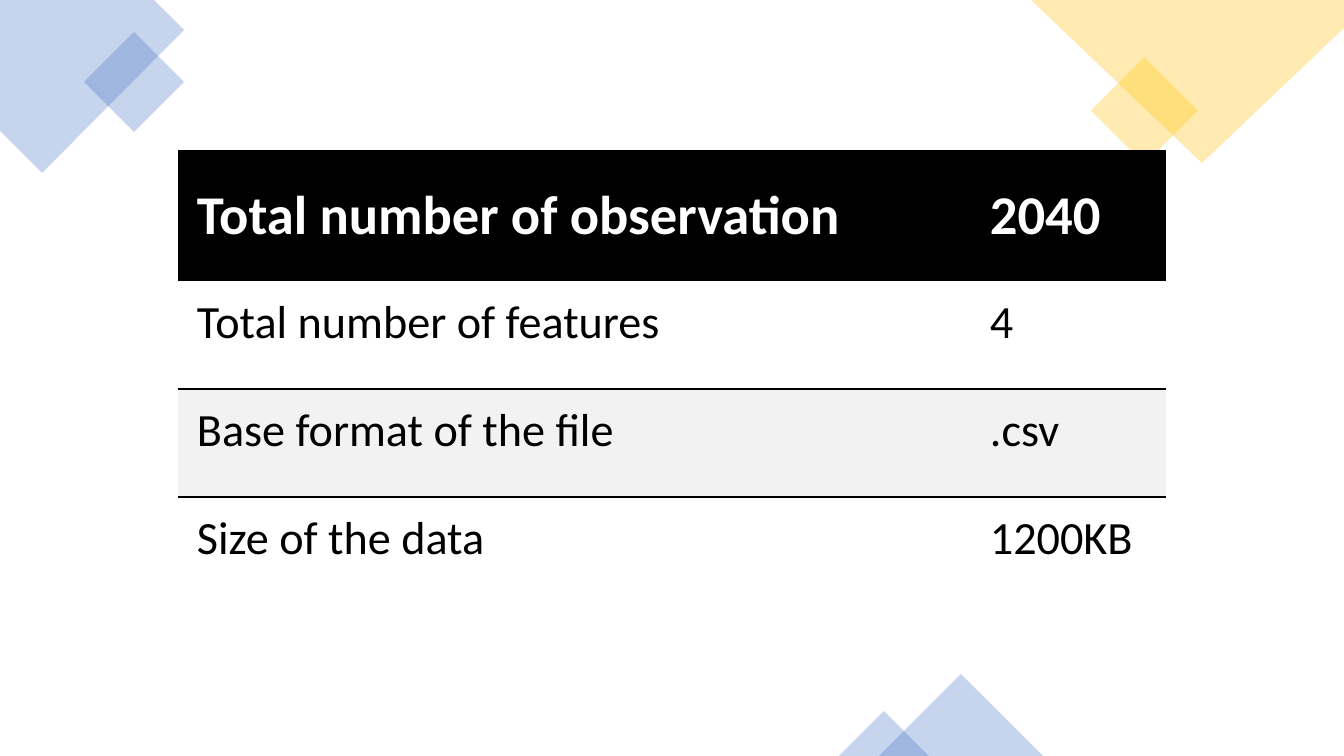
from lxml import etree
from pptx import Presentation
from pptx.dml.color import RGBColor
from pptx.enum.shapes import MSO_SHAPE
from pptx.enum.text import MSO_ANCHOR
from pptx.oxml import parse_xml
from pptx.oxml.ns import nsdecls, qn
from pptx.util import Emu, Pt

DIAMOND, TRIANGLE = MSO_SHAPE.DIAMOND, MSO_SHAPE.ISOSCELES_TRIANGLE
MIDDLE, TOP = MSO_ANCHOR.MIDDLE, MSO_ANCHOR.TOP
SCALE = 914400 / 100.8
BLUE, YELLOW, BLACK, WHITE, GREY = "4472C4", "FFC000", "000000", "FFFFFF", "F2F2F2"
PLAIN_TABLE = "{2D5ABB26-0587-4C30-8999-92F81FD0307C}"
FACTS = [
    ("Total number of observation", "2040"),
    ("Total number of features", "4"),
    ("Base format of the file", ".csv"),
    ("Size of the data", "1200KB"),
]


def px(length):
    return Emu(round(length * SCALE))


def color(value):
    return RGBColor.from_string(value)


def tint(shape, fill):
    shape.shadow.inherit = False
    shape.line.fill.background()
    shape.fill.solid()
    shape.fill.fore_color.rgb = color(fill)
    shade = shape.fill._xPr.find(qn("a:solidFill"))[0]
    etree.SubElement(shade, qn("a:alpha"), val="30000")


def add_tinted(page, kind, box, fill):
    tint(page.shapes.add_shape(kind, *map(px, box)), fill)


def add_outline(page, left, top, points, fill):
    placed = [(left + x, top + y) for x, y in points]
    builder = page.shapes.build_freeform(*placed[0], scale=SCALE)
    builder.add_line_segments(placed[1:], close=True)
    tint(builder.convert_to_shape(), fill)


def add_left_corner(page, left, top):
    outline = [(0, 0), (154, 0), (184, 30), (42, 173), (0, 131)]
    add_outline(page, left, top, outline, BLUE)
    add_tinted(page, DIAMOND, (left + 84, top + 32, 100, 100), BLUE)


def add_right_corner(page, left, top):
    add_tinted(page, DIAMOND, (left + 60, top + 57, 107, 107), YELLOW)
    outline = [(0, 0), (313, 0), (313, 28), (171, 163)]
    add_outline(page, left, top, outline, YELLOW)


def add_foot_peaks(page, left, bottom):
    for offset, width, height in ((40, 164, 82), (0, 90, 45)):
        box = (left + offset, bottom - height, width, height)
        add_tinted(page, TRIANGLE, box, BLUE)


def write_text(frame, text, size, ink, bold=False):
    span = frame.paragraphs[0].add_run()
    span.text = text
    span.font.name = "Calibri"
    span.font.size = Pt(size)
    span.font.bold = bold
    span.font.color.rgb = color(ink)


def add_rule(cell, side):
    cell._tc.get_or_add_tcPr().insert(0, parse_xml(
        f'<a:{side} w="12700" {nsdecls("a")}><a:solidFill>'
        f'<a:srgbClr val="{BLACK}"/></a:solidFill></a:{side}>'))


def fill_cell(cell, text, row):
    header = row == 0
    cell.margin_left, cell.margin_right = px(19), px(14)
    cell.margin_top, cell.margin_bottom = px(28 if header else 14), px(28)
    cell.vertical_anchor = MIDDLE if header else TOP
    fill = {0: BLACK, 2: GREY}.get(row)
    if fill:
        cell.fill.solid()
        cell.fill.fore_color.rgb = color(fill)
    else:
        cell.fill.background()
    write_text(cell.text_frame, text, 39 if header else 33,
               WHITE if header else BLACK, bold=header)
    if row in (1, 2):
        add_rule(cell, "lnB" if row == 1 else "lnT")


def add_facts(page, left, top, widths, heights):
    box = (left, top, sum(widths), sum(heights))
    frame = page.shapes.add_table(len(heights), len(widths), *map(px, box))
    table = frame.table
    table.horz_banding = False
    table._tbl.tblPr.find(qn("a:tableStyleId")).text = PLAIN_TABLE
    for column, width in zip(table.columns, widths):
        column.width = px(width)
    for line, height in zip(table.rows, heights):
        line.height = px(height)
    for row, facts in enumerate(FACTS):
        for column, text in enumerate(facts):
            fill_cell(table.cell(row, column), text, row)


def main():
    deck = Presentation()
    deck.slide_width, deck.slide_height = px(1344), px(756)
    page = deck.slides.add_slide(deck.slide_layouts[6])
    add_left_corner(page, 0, 0)
    add_right_corner(page, 1031, 0)
    add_foot_peaks(page, 839, 756)
    add_facts(page, 178, 150, (793, 195), (131, 108, 108, 108))
    deck.save("out.pptx")


if __name__ == "__main__":
    main()
